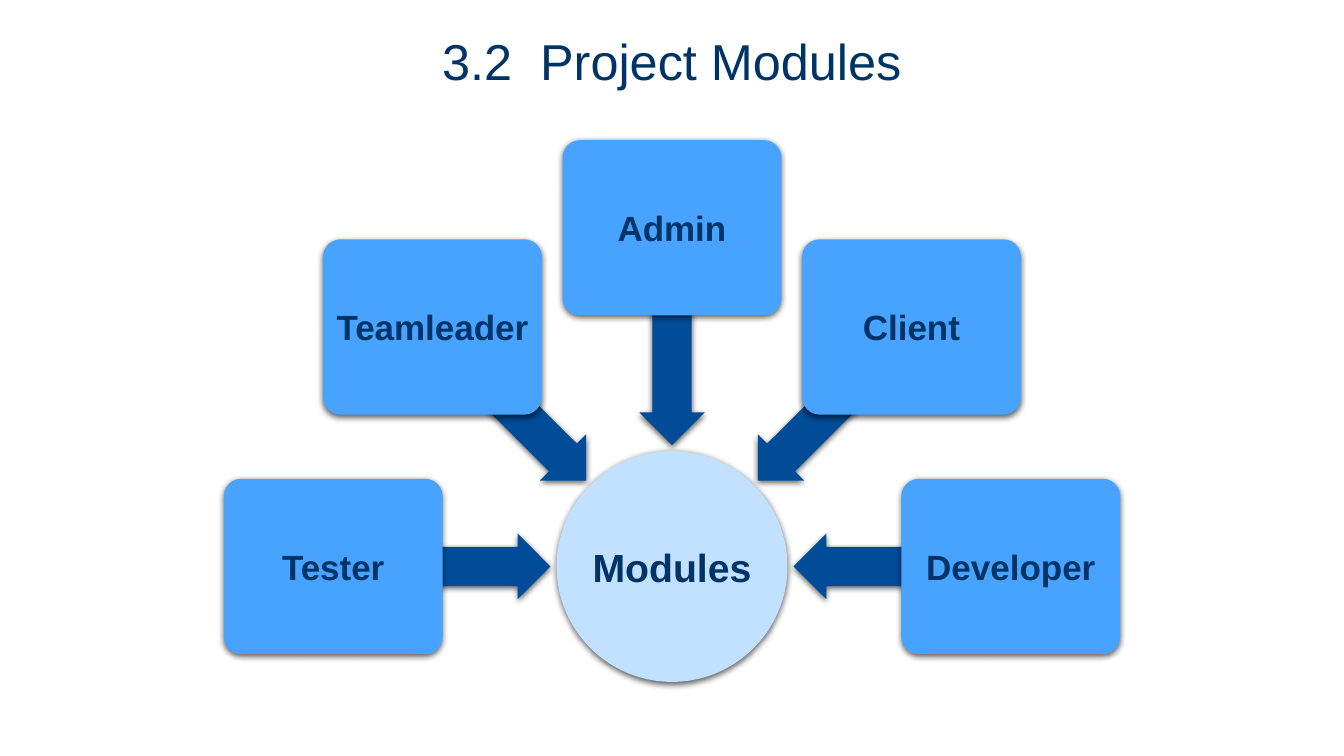
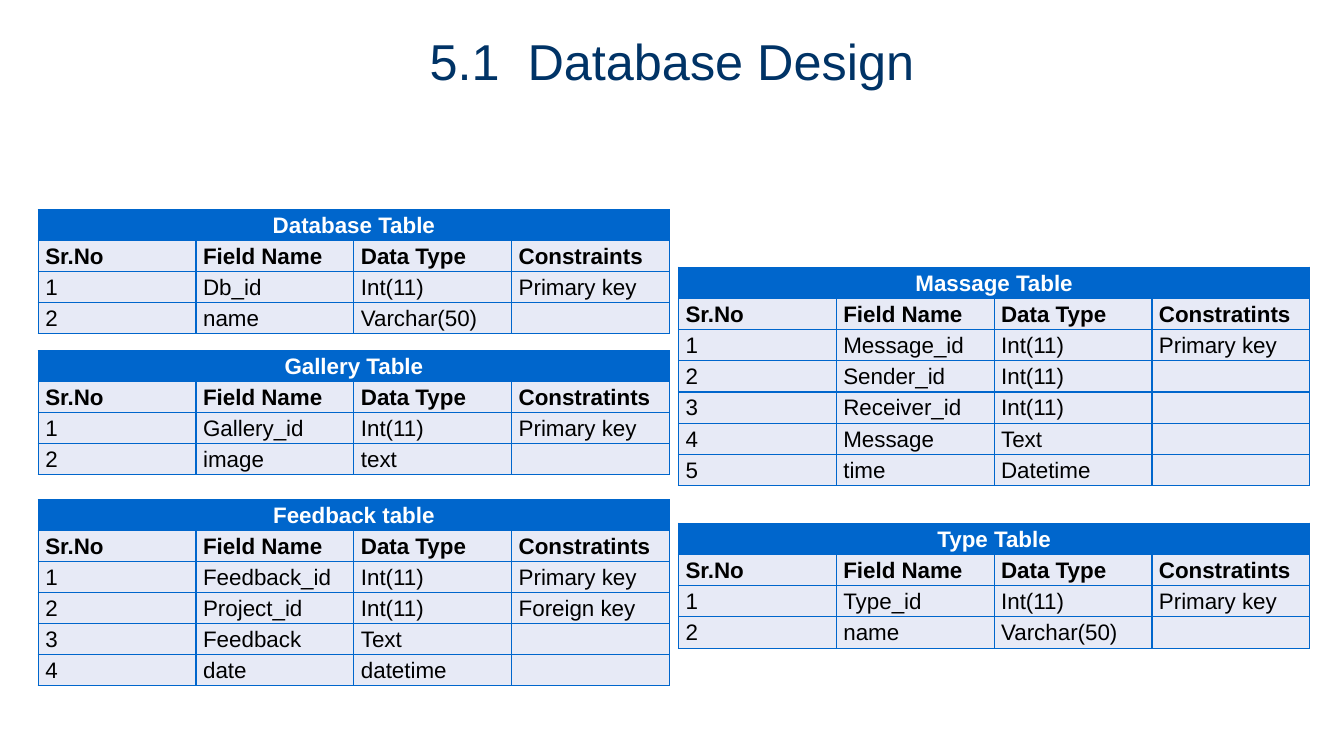
import math
from dataclasses import dataclass

import pptx
import pptx.dml.color
import pptx.enum.shapes
import pptx.enum.text
import pptx.oxml
import pptx.oxml.ns
import pptx.util
from lxml import etree

Inches = pptx.util.Inches
Pt = pptx.util.Pt
RGB = pptx.dml.color.RGBColor.from_string
qn = pptx.oxml.ns.qn
ALIGN = pptx.enum.text.PP_ALIGN
ANCHOR = pptx.enum.text.MSO_ANCHOR
SHAPE = pptx.enum.shapes.MSO_SHAPE


@dataclass(frozen=True)
class Theme:
    font: str = "Arial"
    # Colours
    navy: str = "003366"
    hub: str = "C2E0FF"
    node: str = "47A3FF"
    arrow: str = "004C99"
    head: str = "0066CC"
    body: str = "E7EAF6"
    white: str = "FFFFFF"
    black: str = "000000"
    # Type sizes in points
    title_size: int = 36
    hub_size: int = 28
    node_size: int = 25
    table_size: int = 16


T = Theme()


def write(tf, text, size, color, bold=False, align=ALIGN.CENTER,
          anchor=ANCHOR.MIDDLE, margins=(0.1, 0.05), spacing=None):
    """Fill a text frame with one formatted paragraph."""
    tf.word_wrap = True
    tf.vertical_anchor = anchor
    tf.margin_left = tf.margin_right = Inches(margins[0])
    tf.margin_top = tf.margin_bottom = Inches(margins[1])
    p = tf.paragraphs[0]
    p.alignment = align
    if spacing:
        p.line_spacing = spacing
    if not text:
        # An empty paragraph takes its height from its end mark
        etree.SubElement(p._p, qn("a:endParaRPr"), sz=str(size * 100))
        return
    r = p.add_run()
    r.text = text
    r.font.name = T.font
    r.font.size = Pt(size)
    r.font.bold = bold
    r.font.color.rgb = RGB(color)


class Deck:
    def __init__(self):
        self.prs = pptx.Presentation()
        self.prs.slide_width = Inches(13.33)
        self.prs.slide_height = Inches(7.5)
        self.s = None

    def slide(self, title):
        self.s = self.prs.slides.add_slide(self.prs.slide_layouts[5])
        sp = self.s.shapes.title
        sp.left, sp.top = Inches(3.33), Inches(0.25)
        sp.width, sp.height = Inches(6.67), Inches(0.71)
        write(sp.text_frame, title, T.title_size, T.navy, anchor=ANCHOR.TOP)
        sp.text_frame.auto_size = pptx.enum.text.MSO_AUTO_SIZE.SHAPE_TO_FIT_TEXT

    def shape(self, kind, cx, cy, w, h, fill, adjust=(), rotation=0):
        """Add a shadowed shape around its centre."""
        sp = self.s.shapes.add_shape(kind, Inches(cx - w / 2), Inches(cy - h / 2),
                                     Inches(w), Inches(h))
        sp.rotation = rotation
        for i, value in enumerate(adjust):
            sp.adjustments[i] = value
        sp.fill.solid()
        sp.fill.fore_color.rgb = RGB(fill)
        sp.line.fill.background()
        sp.shadow.inherit = False
        effects = sp.element.spPr.find(qn("a:effectLst"))
        shadow = etree.SubElement(effects, qn("a:outerShdw"), blurRad=str(Pt(4.5)),
                                  dist=str(Pt(1.5)), dir="5400000", rotWithShape="0")
        color = etree.SubElement(shadow, qn("a:srgbClr"), val=T.black)
        etree.SubElement(color, qn("a:alpha"), val="63000")
        return sp

    def cell(self, cell, text, fill, color, **fmt):
        tc_pr = cell._tc.get_or_add_tcPr()
        for side in ("a:lnL", "a:lnR", "a:lnT", "a:lnB"):
            ln = etree.SubElement(tc_pr, qn(side), w=str(Pt(1)))
            solid = etree.SubElement(ln, qn("a:solidFill"))
            etree.SubElement(solid, qn("a:srgbClr"), val=T.head)
        cell.fill.solid()
        cell.fill.fore_color.rgb = RGB(fill)
        cell.margin_left = cell.margin_right = Inches(0.07)
        cell.margin_top = cell.margin_bottom = 0
        write(cell.text_frame, text, T.table_size, color, anchor=ANCHOR.TOP,
              margins=(0.07, 0), spacing=1.15, **fmt)

    def table(self, x, y, row_h, title, fields, last="Constratints"):
        """Add a field table: title row, column heads, numbered fields."""
        rows = [("Sr.No", "Field Name", "Data Type", last)]
        rows += [(str(n), *field) for n, field in enumerate(fields, 1)]
        n_rows = len(rows) + 1
        table = self.s.shapes.add_table(n_rows, 4, Inches(x), Inches(y), Inches(6.26),
                                        Inches(row_h * n_rows)).table
        table.first_row = table.horz_banding = False
        for row in table.rows:
            row.height = Inches(row_h)
        for c, text in enumerate((title, "", "", "")):
            self.cell(table.cell(0, c), text, T.head, T.white, bold=True)
        table.cell(0, 0).merge(table.cell(0, 3))
        for i, row in enumerate(rows, 1):
            for c, text in enumerate(row):
                self.cell(table.cell(i, c), text, T.body, T.black,
                          bold=i == 1, align=ALIGN.JUSTIFY)


def modules_slide(deck):
    deck.slide("3.2  Project Modules")
    # Hub
    cx, cy = 6.665, 5.62
    hub = deck.shape(SHAPE.OVAL, cx, cy, 2.29, 2.29, T.hub)
    write(hub.text_frame, "Modules", T.hub_size, T.navy, bold=True, margins=(0.02, 0.02))
    # Modules on a half circle, each with an arrow to the hub
    names = ("Tester", "Teamleader", "Admin", "Client", "Developer")
    for i, name in enumerate(names):
        angle = 180 + 45 * i
        dx, dy = math.cos(math.radians(angle)), math.sin(math.radians(angle))
        deck.shape(SHAPE.LEFT_ARROW, cx + 2.25 * dx, cy + 2.25 * dy, 2.09, 0.65,
                   T.arrow, (0.6, 0.5), angle % 360)
        node = deck.shape(SHAPE.ROUNDED_RECTANGLE, cx + 3.36 * dx, cy + 3.36 * dy,
                          2.17, 1.74, T.node, (0.1,))
        write(node.text_frame, name, T.node_size, T.navy, bold=True, margins=(0.05, 0.05))


def database_slide(deck):
    deck.slide("5.1  Database Design")
    key, integer = "Primary key", "Int(11)"
    # Left column
    x, row_h = 0.38, 0.28
    deck.table(x, 2.08, row_h, "Database Table", [
        ("Db_id", integer, key), ("name", "Varchar(50)", "")], last="Constraints")
    deck.table(x, 3.48, row_h, "Gallery Table", [
        ("Gallery_id", integer, key), ("image", "text", "")])
    deck.table(x, 4.96, row_h, "Feedback table", [
        ("Feedback_id", integer, key), ("Project_id", integer, "Foreign key"),
        ("Feedback", "Text", ""), ("date", "datetime", "")])
    # Right column
    x, row_h = 6.73, 0.31
    deck.table(x, 2.65, row_h, "Massage Table", [
        ("Message_id", integer, key), ("Sender_id", integer, ""),
        ("Receiver_id", integer, ""), ("Message", "Text", ""),
        ("time", "Datetime", "")])
    deck.table(x, 5.19, row_h, "Type Table", [
        ("Type_id", integer, key), ("name", "Varchar(50)", "")])


def main():
    deck = Deck()
    modules_slide(deck)
    database_slide(deck)
    deck.prs.save("out.pptx")


if __name__ == "__main__":
    main()
